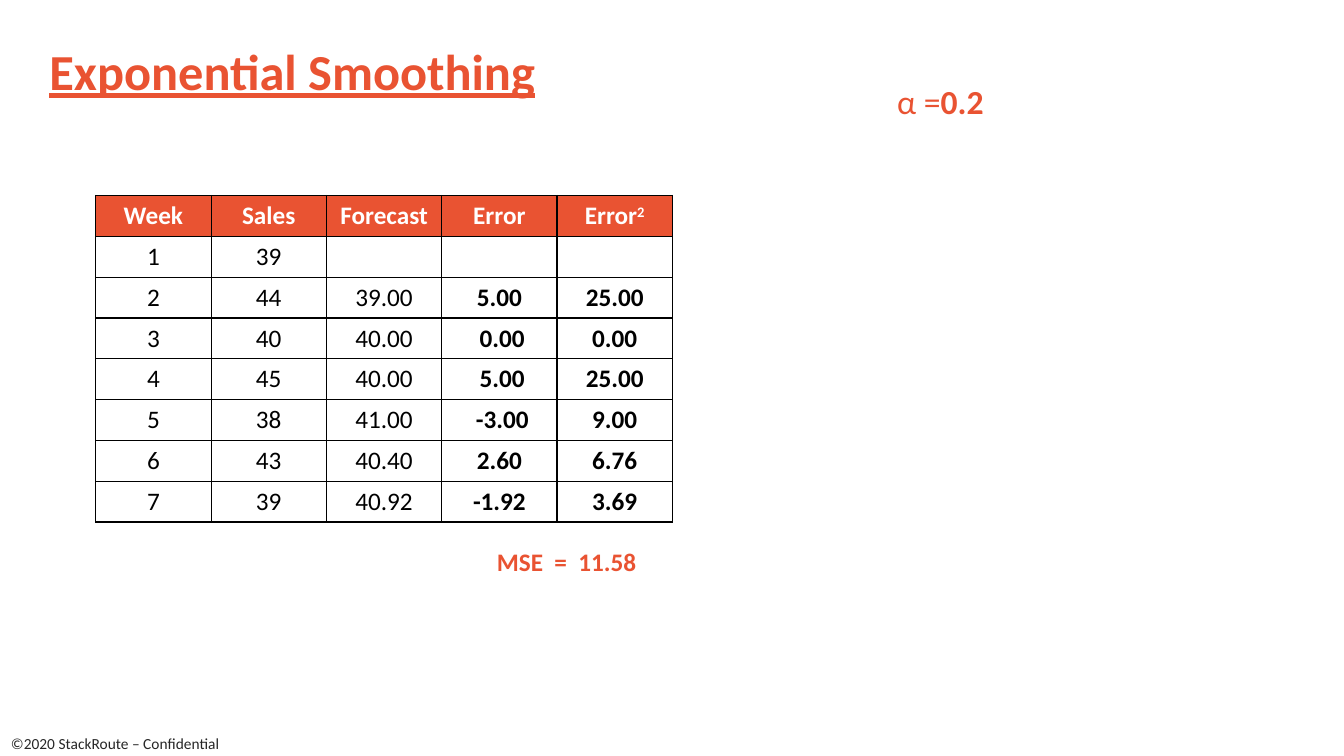
import pptx
import pptx.util
import pptx.dml.color
import pptx.enum.text
import pptx.oxml
import pptx.oxml.ns
from pptx.util import Inches

ORANGE = pptx.dml.color.RGBColor(0xE9, 0x53, 0x32)
WHITE = pptx.dml.color.RGBColor(0xFF, 0xFF, 0xFF)
BLACK = pptx.dml.color.RGBColor(0x00, 0x00, 0x00)
DARK_GREY = pptx.dml.color.RGBColor(0x26, 0x26, 0x26)
PP = pptx.enum.text.PP_ALIGN
ANCHOR = pptx.enum.text.MSO_ANCHOR
AUTO = pptx.enum.text.MSO_AUTO_SIZE


def add_run(tf, text, size=18, color=ORANGE, bold=False, underline=False, align=PP.LEFT, baseline=0):
    p = tf.paragraphs[0]
    p.alignment = align
    r = p.add_run()
    r.text = text
    r.font.name = "Calibri"
    r.font.size = pptx.util.Pt(size)
    r.font.bold = bold
    r.font.underline = underline
    r.font.color.rgb = color
    if baseline:
        r._r.get_or_add_rPr().set("baseline", str(baseline * 1000))


prs = pptx.Presentation()
prs.slide_width = Inches(13.33)
prs.slide_height = Inches(7.5)
s = prs.slides.add_slide(prs.slide_layouts[5])

title = s.shapes.title
title.left, title.top, title.width, title.height = Inches(0.39), Inches(0.35), Inches(11.57), Inches(0.71)
tf = title.text_frame
tf.word_wrap = True
tf.auto_size = AUTO.SHAPE_TO_FIT_TEXT
tf.vertical_anchor = ANCHOR.TOP
add_run(tf, "Exponential Smoothing", size=36, bold=True, underline=True)

rows = [
    ("Week", "Sales", "Forecast", "Error", "Error"),
    ("1", "39", "", "", ""),
    ("2", "44", "39.00", "5.00", "25.00"),
    ("3", "40", "40.00", " 0.00", "0.00"),
    ("4", "45", "40.00", " 5.00", "25.00"),
    ("5", "38", "41.00", " -3.00", "9.00"),
    ("6", "43", "40.40", "2.60", "6.76"),
    ("7", "39", "40.92", "-1.92", "3.69"),
]
table = s.shapes.add_table(len(rows), 5, Inches(0.95), Inches(1.94), Inches(5.72), Inches(3.24)).table
table.horz_banding = False
for column in table.columns:
    column.width = Inches(5.72 / 5)
for i, values in enumerate(rows):
    table.rows[i].height = Inches(3.24 / len(rows))
    header = i == 0
    for j, value in enumerate(values):
        cell = table.cell(i, j)
        tcPr = cell._tc.get_or_add_tcPr()
        for side in ("lnL", "lnR", "lnT", "lnB"):
            tcPr.append(pptx.oxml.parse_xml(
                f'<a:{side} {pptx.oxml.ns.nsdecls("a")} w="12700"><a:solidFill>'
                f'<a:srgbClr val="{BLACK}"/></a:solidFill></a:{side}>'))
        if header:
            cell.fill.solid()
            cell.fill.fore_color.rgb = ORANGE
        elif j == 3 and value:
            cell.fill.solid()
            cell.fill.fore_color.rgb = WHITE
        else:
            cell.fill.background()
        if value:
            add_run(cell.text_frame, value, color=WHITE if header else BLACK,
                    bold=header or j >= 3, align=PP.CENTER)
add_run(table.cell(0, 4).text_frame, "2", color=WHITE, bold=True, align=PP.CENTER, baseline=30)

labels = [
    (8.8, 0.75, 1.2, 0.5, True, [("α =", dict(size=24)), ("0.2", dict(size=24, bold=True))]),
    (4.83, 5.37, 1.63, 0.4, True, [("MSE  =  11.58", dict(bold=True))]),
    (0.01, 7.23, 2.29, 0.29, False, [("©2020 StackRoute – Confidential", dict(size=11, color=DARK_GREY))]),
]
for left, top, width, height, wrap, runs in labels:
    tf = s.shapes.add_textbox(Inches(left), Inches(top), Inches(width), Inches(height)).text_frame
    tf.word_wrap = wrap
    tf.auto_size = AUTO.SHAPE_TO_FIT_TEXT
    for text, style in runs:
        add_run(tf, text, **style)

prs.save("out.pptx")
